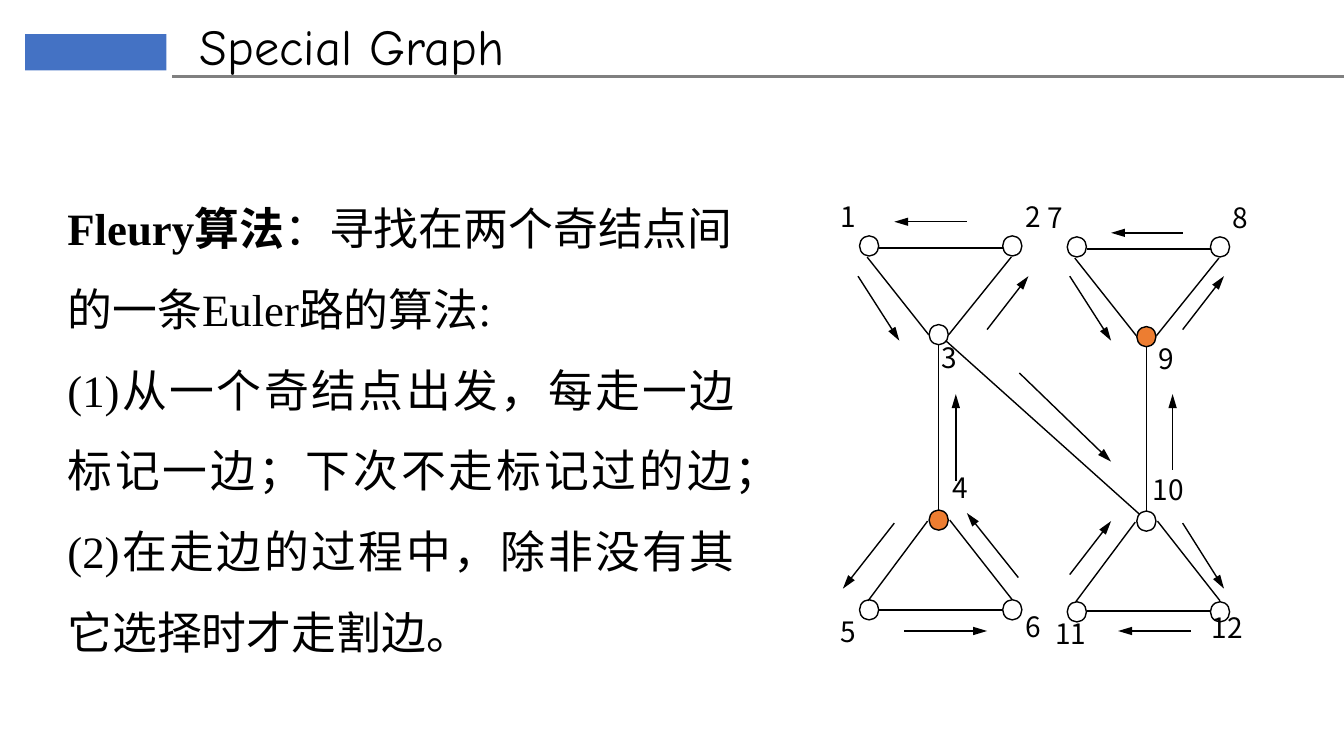
from typing import NamedTuple

from lxml.etree import SubElement
from pptx import Presentation
from pptx.dml.color import RGBColor
from pptx.enum.shapes import MSO_CONNECTOR, MSO_SHAPE
from pptx.enum.text import MSO_ANCHOR, MSO_AUTO_SIZE, PP_ALIGN
from pptx.oxml.ns import qn
from pptx.slide import Slide
from pptx.text.text import TextFrame
from pptx.util import Inches, Pt

BLACK, BLUE, GRAY, ORANGE = "000000", "4472C4", "808080", "ED7D31"
CJK_FONT = "Noto Sans CJK SC"
NODE_WIDTH, NODE_HEIGHT = 0.19, 0.2


class Node(NamedTuple):
    """Centre of a vertex, with the top centre of its number."""
    number: int
    x: float
    y: float
    label_x: float
    label_y: float
    odd_end: bool = False


class Segment(NamedTuple):
    x1: float
    y1: float
    x2: float
    y2: float


NODES = [
    Node(1, 8.62, 2.44, 8.41, 1.98),
    Node(2, 10.04, 2.44, 10.25, 1.98),
    Node(3, 9.31, 3.32, 9.42, 3.38),
    Node(4, 9.31, 5.16, 9.52, 4.67, odd_end=True),
    Node(5, 8.62, 6.05, 8.41, 6.1),
    Node(6, 10.04, 6.05, 10.25, 6.05),
    Node(7, 10.68, 2.45, 10.47, 1.99),
    Node(8, 12.1, 2.45, 12.3, 1.99),
    Node(9, 11.37, 3.34, 11.57, 3.39, odd_end=True),
    Node(10, 11.37, 5.17, 11.59, 4.69),
    Node(11, 10.68, 6.07, 10.62, 6.12),
    Node(12, 12.1, 6.07, 12.17, 6.06),
]

# Edges of the left hourglass; the right one is the same, shifted.
HOURGLASS_EDGES = [
    Segment(9.95, 2.46, 8.72, 2.46),
    Segment(10.03, 2.55, 9.41, 3.32),
    Segment(9.21, 3.32, 8.6, 2.55),
    Segment(9.31, 3.42, 9.31, 5.07),
    Segment(10.04, 5.95, 9.42, 5.16),
    Segment(9.95, 6.05, 8.72, 6.05),
    Segment(9.2, 5.17, 8.61, 5.96),
]
HOURGLASS_SHIFTS = [(0, 0), (2.06, 0.01)]
BRIDGE = Segment(9.38, 3.38, 11.3, 5.1)

ROUTE_ARROWS = [
    Segment(8.87, 5.19, 8.36, 5.84),
    Segment(8.97, 6.26, 9.79, 6.26),
    Segment(10.1, 5.73, 9.59, 5.09),
    Segment(9.48, 4.77, 9.48, 3.91),
    Segment(9.79, 3.27, 10.2, 2.74),
    Segment(9.59, 2.2, 8.87, 2.2),
    Segment(8.51, 2.74, 8.92, 3.38),
    Segment(10.11, 3.7, 11.02, 4.58),
    Segment(11.73, 5.19, 12.14, 5.84),
    Segment(11.81, 6.26, 11.09, 6.26),
    Segment(10.61, 5.7, 11.02, 5.17),
    Segment(11.63, 4.66, 11.63, 3.91),
    Segment(11.73, 3.27, 12.14, 2.74),
    Segment(11.73, 2.31, 11.02, 2.31),
    Segment(10.61, 2.74, 11.02, 3.38),
]

# Each paragraph is a list of (text, bold) pieces.
ALGORITHM = [
    [("Fleury算法", True), ("：寻找在两个奇结点间的一条Euler路的算法:", False)],
    [("(1)从一个奇结点出发，每走一边标记一边；下次不走标记过的边；", False)],
    [("(2)在走边的过程中，除非没有其它选择时才走割边。", False)],
]


def rgb(color: str) -> RGBColor:
    return RGBColor.from_string(color)


def write(frame: TextFrame, paragraphs: list, *, size: float, font: str,
          color: str = BLACK, aligns: tuple = (PP_ALIGN.LEFT,),
          line_spacing: float = 1.0, insets: tuple = (0.1, 0.05)) -> None:
    """Fill a frame; the last alignment serves all remaining paragraphs."""
    frame.word_wrap = True
    frame.auto_size = MSO_AUTO_SIZE.SHAPE_TO_FIT_TEXT
    frame.vertical_anchor = MSO_ANCHOR.TOP
    frame.margin_left = frame.margin_right = Inches(insets[0])
    frame.margin_top = frame.margin_bottom = Inches(insets[1])
    for index, pieces in enumerate(paragraphs):
        paragraph = frame.add_paragraph() if index else frame.paragraphs[0]
        paragraph.alignment = aligns[min(index, len(aligns) - 1)]
        paragraph.line_spacing = line_spacing
        for text, bold in pieces:
            run = paragraph.add_run()
            run.text = text
            run.font.size = Pt(size)
            run.font.name = font
            run.font.bold = bold
            run.font.color.rgb = rgb(color)
            SubElement(run.font._element, qn("a:ea"), typeface=CJK_FONT)


def add_text(slide: Slide, left: float, top: float, width: float,
             height: float, paragraphs: list, **text_format) -> None:
    box = slide.shapes.add_textbox(
        Inches(left), Inches(top), Inches(width), Inches(height))
    write(box.text_frame, paragraphs, **text_format)


def add_line(slide: Slide, segment: Segment, *, color: str = BLACK,
             width: float = 1, arrow: bool = False) -> None:
    connector = slide.shapes.add_connector(
        MSO_CONNECTOR.STRAIGHT, *(Inches(value) for value in segment))
    connector.line.color.rgb = rgb(color)
    connector.line.width = Pt(width)
    if arrow:
        SubElement(connector.line._get_or_add_ln(), qn("a:tailEnd"),
                   type="triangle", w="med", len="lg")
    SubElement(connector._element.spPr, qn("a:effectLst"))


def add_header_block(slide: Slide) -> None:
    block = slide.shapes.add_shape(
        MSO_SHAPE.RECTANGLE, Inches(0.25), Inches(0.34),
        Inches(1.4), Inches(0.36))
    block.shadow.inherit = False
    block.fill.solid()
    block.fill.fore_color.rgb = rgb(BLUE)
    block.line.fill.background()


def add_node(slide: Slide, node: Node) -> None:
    circle = slide.shapes.add_shape(
        MSO_SHAPE.OVAL, Inches(node.x - NODE_WIDTH / 2),
        Inches(node.y - NODE_HEIGHT / 2),
        Inches(NODE_WIDTH), Inches(NODE_HEIGHT))
    circle.shadow.inherit = False
    circle.line.color.rgb = rgb(BLACK)
    circle.line.width = Pt(1)
    if node.odd_end:
        circle.fill.solid()
        circle.fill.fore_color.rgb = rgb(ORANGE)
    else:
        circle.fill.background()
    label_width = 0.3 if node.number < 10 else 0.5
    add_text(slide, node.label_x - label_width / 2, node.label_y,
             label_width, 0.43, [[(str(node.number), False)]], size=20,
             font=CJK_FONT, aligns=(PP_ALIGN.CENTER,), insets=(0, 0))


def main() -> None:
    presentation = Presentation()
    presentation.slide_width = Inches(13.33)
    presentation.slide_height = Inches(7.5)
    slide = presentation.slides.add_slide(presentation.slide_layouts[5])

    add_header_block(slide)
    add_line(slide, Segment(1.71, 0.76, 13.33, 0.76), color=GRAY, width=2)

    title = slide.shapes.title
    title.left, title.top = Inches(1.88), Inches(0.1)
    title.width, title.height = Inches(8.62), Inches(0.71)
    write(title.text_frame, [[("Special Graph", False)]], size=36,
          font="Comic Neue")

    add_text(slide, 0.57, 1.68, 6.82, 5.43, ALGORITHM, size=32,
             font="Times New Roman", line_spacing=1.5,
             aligns=(PP_ALIGN.LEFT, PP_ALIGN.JUSTIFY))

    for dx, dy in HOURGLASS_SHIFTS:
        for x1, y1, x2, y2 in HOURGLASS_EDGES:
            add_line(slide, Segment(x1 + dx, y1 + dy, x2 + dx, y2 + dy))
    add_line(slide, BRIDGE)
    for node in NODES:
        add_node(slide, node)
    for arrow in ROUTE_ARROWS:
        add_line(slide, arrow, arrow=True)

    presentation.save("out.pptx")


if __name__ == "__main__":
    main()
